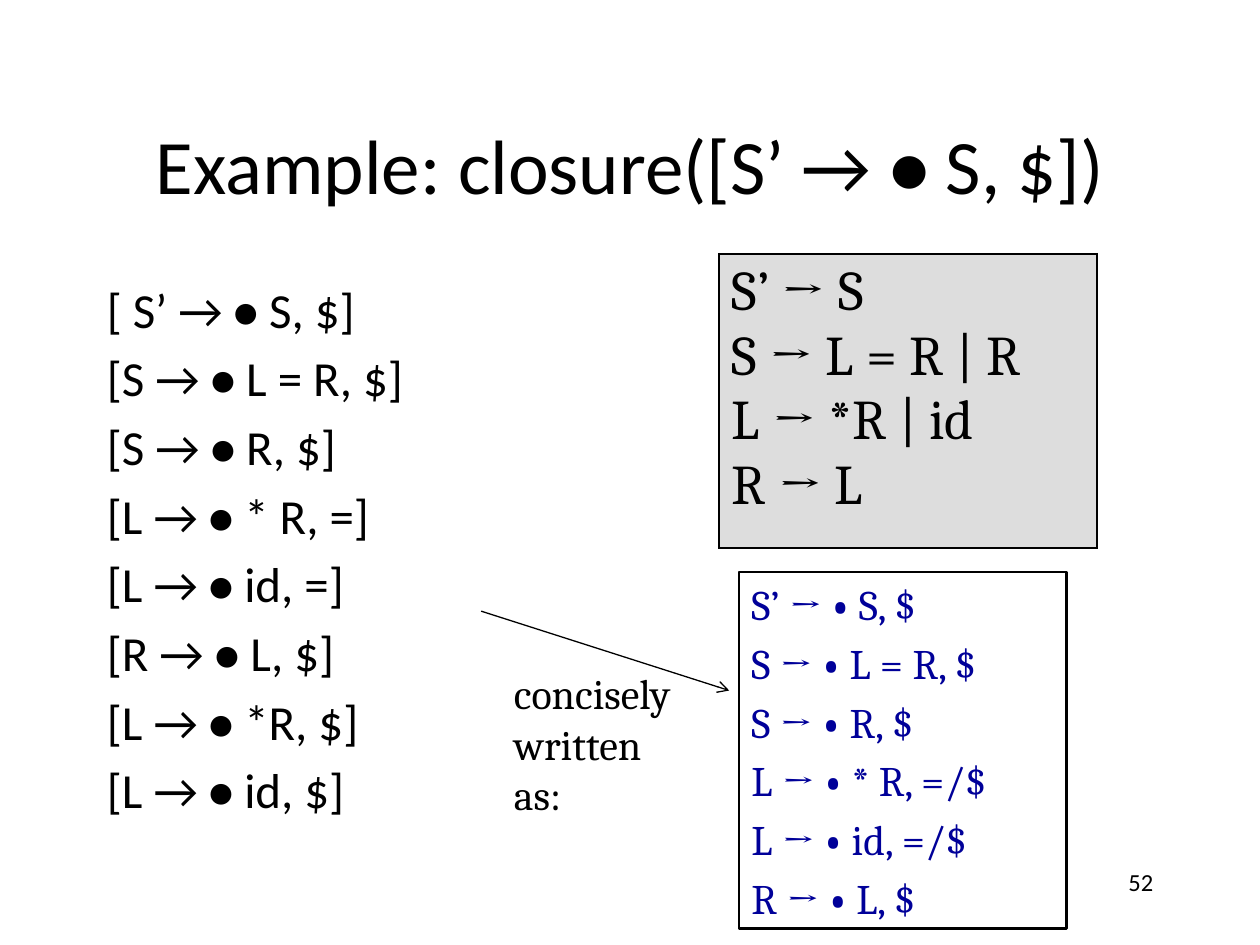
from dataclasses import dataclass

from lxml.etree import SubElement
from pptx import Presentation
from pptx.dml.color import RGBColor as Color
from pptx.enum.shapes import MSO_CONNECTOR as Connector, MSO_SHAPE as Shape
from pptx.enum.text import MSO_ANCHOR as Anchor, MSO_AUTO_SIZE as AutoSize, PP_ALIGN as Align
from pptx.oxml.ns import qn
from pptx.util import Cm, Pt


@dataclass(frozen=True)
class Theme:
    ink: Color = Color(0, 0, 0)
    accent: Color = Color(0, 0, 0x99)
    panel: Color = Color(0xDD, 0xDD, 0xDD)
    sans: str = "Calibri"
    serif: str = "Cambria"
    title: int = 44
    grammar: int = 32
    items: int = 28
    small: int = 24
    number: int = 14


@dataclass(frozen=True)
class Box:
    left: float
    top: float
    width: float
    height: float

    def lengths(self):
        return Cm(self.left), Cm(self.top), Cm(self.width), Cm(self.height)


THEME = Theme()
DOT = "• "
TITLE = "Example: closure([S’ → • S, $])"
GRAMMAR = ["S’ → S ", "S → L = R | R", "L → *R | id", "R → L"]
CLOSURE = [
    "[ S’ → • S, $]", "[S → • L = R, $]", "[S → • R, $]", "[L → • * R, =]",
    "[L → • id, =]", "[R → • L, $]", "[L → • *R, $]", "[L → • id, $]",
]
CONCISE = [
    "S’ → • S, $", "S → • L = R, $", "S → • R, $",
    "L → • * R, =/$", "L → • id, =/$", "R → • L, $",
]


def add_span(para, text, font, size, color=THEME.ink, bold=False):
    span = para.add_run()
    span.text = text
    span.font.name = font
    span.font.size = Pt(size)
    span.font.bold = bold
    span.font.color.rgb = color


def add_item(para, text, font, size, color=THEME.ink):
    before, dot, after = text.partition(DOT)
    for part in (before, dot, after):
        add_span(para, part, font, size, color, bold=part == DOT)


def add_items(frame, items, font, size, color=THEME.ink):
    for index, item in enumerate(items):
        para = frame.add_paragraph() if index else frame.paragraphs[0]
        para.alignment = Align.LEFT
        para.space_before = Pt(size * 0.2)
        properties = para._p.get_or_add_pPr()
        properties.set("marL", str(Cm(0.95)))
        properties.set("indent", str(-Cm(0.95)))
        SubElement(properties, qn("a:buNone"))
        add_item(para, item, font, size, color)


def place(holder, box):
    holder.left, holder.top, holder.width, holder.height = box.lengths()
    holder.text_frame.auto_size = AutoSize.NONE
    return holder.text_frame


def fill_title(page, box):
    frame = place(page.shapes.title, box)
    frame.vertical_anchor = Anchor.MIDDLE
    para = frame.paragraphs[0]
    para.alignment = Align.CENTER
    add_item(para, TITLE, THEME.sans, THEME.title)


def fill_closure(page, box):
    frame = place(page.placeholders[1], box)
    add_items(frame, CLOSURE, THEME.sans, THEME.items)


def add_grammar(page, box):
    table = page.shapes.add_table(1, 1, *box.lengths()).table
    table.first_row = table.horz_banding = False
    cell = table.cell(0, 0)
    properties = cell._tc.get_or_add_tcPr()
    for side in ("lnL", "lnR", "lnT", "lnB"):
        border = SubElement(properties, qn(f"a:{side}"), w=str(Pt(1.5)))
        paint = SubElement(border, qn("a:solidFill"))
        SubElement(paint, qn("a:srgbClr"), val=str(THEME.ink))
    cell.fill.solid()
    cell.fill.fore_color.rgb = THEME.panel
    para = cell.text_frame.paragraphs[0]
    for index, rule in enumerate(GRAMMAR):
        if index:
            para.add_line_break()
        add_span(para, rule, THEME.serif, THEME.grammar)


def add_concise(page, box):
    panel = page.shapes.add_shape(Shape.RECTANGLE, *box.lengths())
    panel.shadow.inherit = False
    panel.fill.background()
    panel.line.color.rgb = THEME.ink
    panel.line.width = Pt(1.25)
    frame = panel.text_frame
    frame.vertical_anchor = Anchor.TOP
    add_items(frame, CONCISE, THEME.serif, THEME.small, THEME.accent)


def add_label(page, box, text, font, size, align=Align.LEFT):
    frame = page.shapes.add_textbox(*box.lengths()).text_frame
    frame.word_wrap = True
    para = frame.paragraphs[0]
    para.alignment = align
    add_span(para, text, font, size)


def add_hint(page, box):
    arrow = page.shapes.add_connector(
        Connector.STRAIGHT, Cm(box.left), Cm(box.top),
        Cm(box.left + box.width), Cm(box.top + 1.6))
    arrow.line.color.rgb = THEME.ink
    arrow.line.width = Pt(0.75)
    SubElement(arrow.line._get_or_add_ln(), qn("a:tailEnd"), type="arrow")
    SubElement(arrow._element.spPr, qn("a:effectLst"))
    label = Box(box.left + 0.41, box.top + 1.02, 4.19, box.height - 1.02)
    add_label(page, label, "concisely written as:", THEME.serif, THEME.small)


def main():
    deck = Presentation()
    deck.slide_width, deck.slide_height = Cm(25.4), Cm(19.05)
    page = deck.slides.add_slide(deck.slide_layouts[1])
    fill_title(page, Box(1.9, 1.7, 21.6, 3.18))
    fill_closure(page, Box(1.9, 5.5, 11, 11.85))
    add_grammar(page, Box(14.5, 5.12, 7.62, 5.93))
    add_concise(page, Box(14.9, 11.54, 6.6, 7.18))
    add_hint(page, Box(9.7, 12.32, 5, 3.33))
    add_label(page, Box(18.2, 17.35, 5.3, 1.27), "52", THEME.sans, THEME.number, Align.RIGHT)
    deck.save("out.pptx")


if __name__ == "__main__":
    main()
